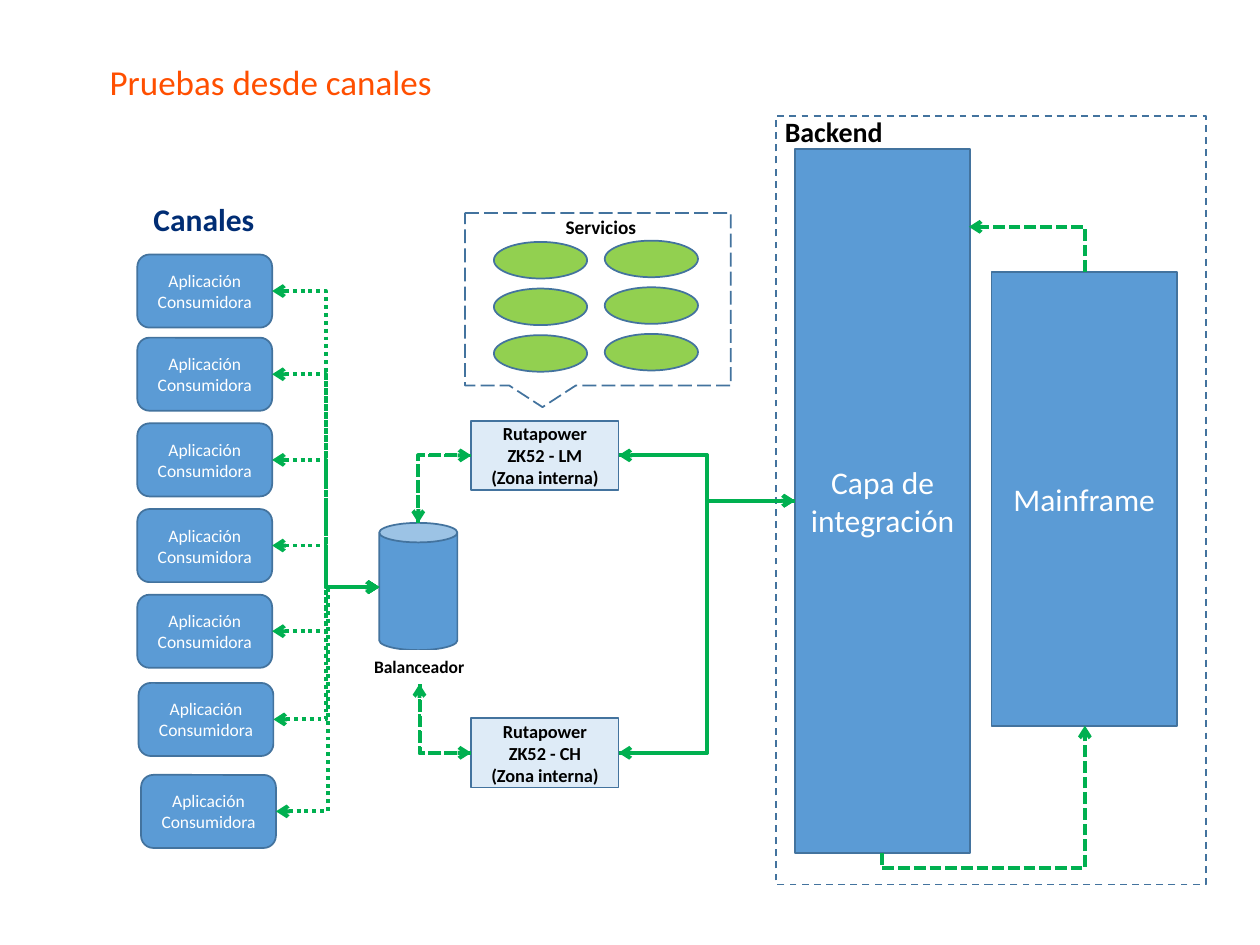
import pptx
import pptx.util
import pptx.dml.color
import pptx.enum.dml
import pptx.enum.shapes
import pptx.enum.text
import pptx.oxml
import pptx.oxml.ns

Inches = pptx.util.Inches
SHAPES = pptx.enum.shapes.MSO_SHAPE
DASHES = pptx.enum.dml.MSO_LINE
ALIGN = pptx.enum.text.PP_ALIGN
ANCHOR = pptx.enum.text.MSO_ANCHOR

COLORS = {
    "title": "FF4F00", "navy": "002D74", "black": "000000", "white": "FFFFFF",
    "blue": "5B9BD5", "outline": "43739E", "pale": "DEEBF7",
    "service": "92D050", "flow": "00B050",
}


def color(name):
    return pptx.dml.color.RGBColor.from_string(COLORS[name])


class Diagram:
    """Holds the shared style and the slide being drawn."""

    font = "Calibri"
    outline_width = pptx.util.Pt(1)
    flow_width = pptx.util.Pt(2.25)

    def __init__(self, slide):
        self.slide = slide

    def set_text(self, shape, text, size, ink, bold=False, align=ALIGN.LEFT):
        shape.text_frame.text = text
        for paragraph in shape.text_frame.paragraphs:
            paragraph.alignment = align
            for run in paragraph.runs:
                run.font.name = self.font
                run.font.size = pptx.util.Pt(size)
                run.font.bold = bold
                run.font.color.rgb = color(ink)

    def title(self, text, left, top, width, height):
        title = self.slide.shapes.title
        title.left, title.top = Inches(left), Inches(top)
        title.width, title.height = Inches(width), Inches(height)
        self.set_text(title, text, 20, "title")
        title.text_frame.vertical_anchor = ANCHOR.TOP
        title.text_frame.paragraphs[0].line_spacing = 0.9

    def label(self, text, left, top, width, height, size, ink="black", wrap=True):
        box = self.slide.shapes.add_textbox(
            Inches(left), Inches(top), Inches(width), Inches(height))
        self.set_text(box, text, size, ink, bold=True)
        box.text_frame.word_wrap = wrap
        return box

    def shape(self, kind, left, top, width, height, fill=None, dash=None):
        shape = self.slide.shapes.add_shape(
            kind, Inches(left), Inches(top), Inches(width), Inches(height))
        shape.shadow.inherit = False
        if fill:
            shape.fill.solid()
            shape.fill.fore_color.rgb = color(fill)
        else:
            shape.fill.background()
        shape.line.color.rgb = color("outline")
        shape.line.width = self.outline_width
        if dash:
            shape.line.dash_style = dash
        return shape

    def box(self, kind, bounds, fill, text, size, ink="white", bold=False):
        shape = self.shape(kind, *bounds, fill=fill)
        self.set_text(shape, text, size, ink, bold, ALIGN.CENTER)
        shape.text_frame.vertical_anchor = ANCHOR.MIDDLE
        return shape

    def flow(self, begin, end, corners=2, vertical=False, bend=None,
             dash=DASHES.SQUARE_DOT, arrows=("tailEnd",)):
        """Draw a bent arrow; a vertical one leaves its begin point up or down."""
        (x1, y1), (x2, y2) = begin, end
        if vertical:
            # The bent presets start horizontally, so turn the frame by 90 degrees.
            middle_x, middle_y = (x1 + x2) / 2, (y1 + y2) / 2
            half_x, half_y = (y2 - y1) / 2, (x1 - x2) / 2
            x1, x2 = middle_x - half_x, middle_x + half_x
            y1, y2 = middle_y - half_y, middle_y + half_y
        connector = self.slide.shapes.add_connector(
            pptx.enum.shapes.MSO_CONNECTOR.ELBOW,
            Inches(x1), Inches(y1), Inches(x2), Inches(y2))
        connector.line.color.rgb = color("flow")
        connector.line.width = self.flow_width
        connector.line.dash_style = dash
        properties = connector._element.spPr
        if vertical:
            properties.find(pptx.oxml.ns.qn("a:xfrm")).set("rot", "5400000")
        geometry = properties.find(pptx.oxml.ns.qn("a:prstGeom"))
        geometry.set("prst", f"bentConnector{corners + 1}")
        namespace = pptx.oxml.ns.nsdecls("a")
        if bend is not None:
            for guides in geometry.findall(pptx.oxml.ns.qn("a:avLst")):
                geometry.remove(guides)
            geometry.append(pptx.oxml.parse_xml(
                f'<a:avLst {namespace}><a:gd name="adj1" '
                f'fmla="val {round(bend * 100000)}"/></a:avLst>'))
        line = properties.find(pptx.oxml.ns.qn("a:ln"))
        for arrow in arrows:
            line.append(pptx.oxml.parse_xml(f'<a:{arrow} {namespace} type="arrow"/>'))
        properties.append(pptx.oxml.parse_xml(f'<a:effectLst {namespace}/>'))
        return connector


def draw_backend(diagram):
    diagram.shape(SHAPES.RECTANGLE, 6.16, 0.92, 3.41, 6.1, dash=DASHES.DASH)
    integration = diagram.box(SHAPES.RECTANGLE, (6.31, 1.18, 1.39, 5.59), "blue",
                              "Capa de integración", 18)
    diagram.box(SHAPES.RECTANGLE, (7.87, 2.16, 1.47, 3.6), "blue", "Mainframe", 18)
    diagram.label("Backend", 6.13, 0.86, 1.15, 0.37, 16)
    diagram.flow((7, 6.77), (8.61, 5.76), vertical=True, bend=-0.12)
    diagram.flow((8.61, 2.16), (7.69, 1.8), corners=1, vertical=True)
    return integration


def draw_services(diagram):
    diagram.shape(SHAPES.RECTANGULAR_CALLOUT, 3.69, 1.69, 2.11, 1.37,
                  dash=DASHES.LONG_DASH)
    for left, top in ((3.92, 1.92), (4.8, 1.91)):
        for row in range(3):
            diagram.shape(SHAPES.OVAL, left, top + row * 0.37, 0.74, 0.29, "service")
    diagram.label("Servicios", 4.39, 1.66, 1.15, 0.29, 11)


def draw_channels(diagram, balancer_entry):
    diagram.label("Canales", 1.12, 1.54, 1.03, 0.4, 18, "navy")
    width, height = 1.07, 0.58
    places = [(1.09, 2.02), (1.09, 2.68), (1.09, 3.36), (1.09, 4.04),
              (1.09, 4.72), (1.1, 5.42), (1.12, 6.15)]
    for left, top in places:
        channel = diagram.box(SHAPES.ROUNDED_RECTANGLE, (left, top, width, height),
                              "blue", "Aplicación Consumidora", 10)
        connector = diagram.flow((left + width, top + height / 2), balancer_entry,
                                 dash=DASHES.ROUND_DOT, arrows=("headEnd", "tailEnd"))
        connector.begin_connect(channel, 3)


def draw_gateways(diagram, integration):
    diagram.shape(SHAPES.CAN, 3.01, 4.15, 0.62, 1.01, "blue")
    balancer = diagram.label("Balanceador", 2.87, 5.16, 0.92, 0.27, 10, wrap=False)
    balancer.fill.solid()
    balancer.fill.fore_color.rgb = color("white")
    for zone, top, balancer_end in (("LM", 3.34, (3.32, 4.15)),
                                    ("CH", 5.7, (3.33, 5.43))):
        gateway = diagram.box(SHAPES.RECTANGLE, (3.74, top, 1.17, 0.55), "pale",
                              f"Rutapower ZK52 - {zone}\n(Zona interna)", 10.5,
                              "black", bold=True)
        middle = top + 0.275
        left_end, right_end = (3.74, middle), (4.91, middle)
        integration_end = (6.31, 3.98)
        diagram.flow(balancer_end, left_end, corners=1, vertical=True)
        diagram.flow(left_end, balancer_end, corners=1)
        request = diagram.flow(right_end, integration_end)
        request.begin_connect(gateway, 3)
        request.end_connect(integration, 1)
        response = diagram.flow(integration_end, right_end)
        response.begin_connect(integration, 1)
        response.end_connect(gateway, 3)


def main():
    presentation = pptx.Presentation()
    presentation.slide_width, presentation.slide_height = Inches(10), Inches(7.5)
    slide = presentation.slides.add_slide(presentation.slide_layouts[5])
    diagram = Diagram(slide)
    diagram.title("Pruebas desde canales", 0.77, 0.47, 8.44, 0.55)
    integration = draw_backend(diagram)
    draw_services(diagram)
    draw_gateways(diagram, integration)
    draw_channels(diagram, balancer_entry=(3.01, 4.66))
    presentation.save("out.pptx")


if __name__ == "__main__":
    main()
